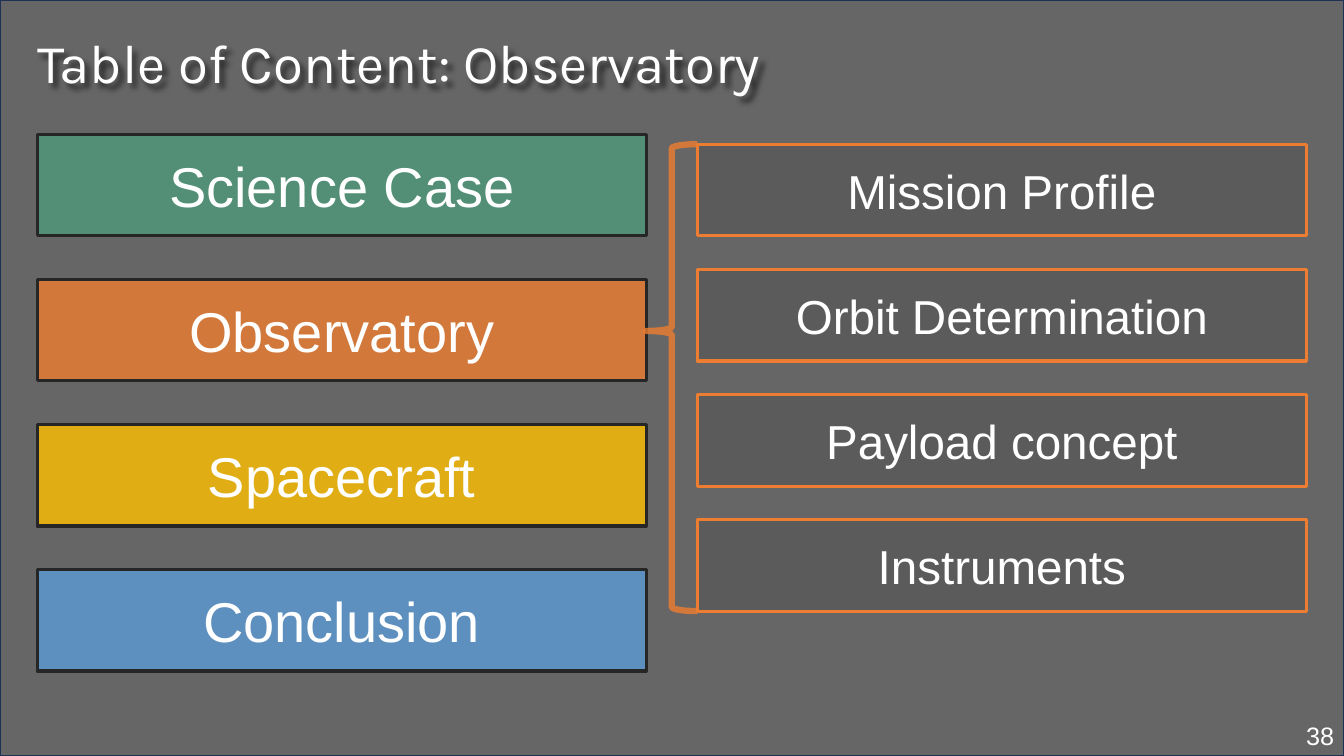
from lxml import etree
from pptx import Presentation
from pptx.dml.color import RGBColor
from pptx.enum.shapes import MSO_SHAPE
from pptx.enum.text import MSO_ANCHOR, MSO_AUTO_SIZE, PP_ALIGN
from pptx.oxml import parse_xml
from pptx.oxml.ns import nsdecls, qn
from pptx.util import Pt

WHITE = RGBColor(0xFF, 0xFF, 0xFF)
BLACK = RGBColor(0x00, 0x00, 0x00)
NAVY = RGBColor(0x1E, 0x32, 0x56)
CHARCOAL = RGBColor(0x26, 0x26, 0x26)
GREY = RGBColor(0x59, 0x59, 0x59)
GREEN = RGBColor(0x4F, 0x9A, 0x7A)
ORANGE = RGBColor(0xED, 0x7D, 0x31)
YELLOW = RGBColor(0xFF, 0xC0, 0x00)
BLUE = RGBColor(0x5B, 0x9B, 0xD5)


def add_panel(kind, left, top, width, height, fill, opacity, line, weight):
    """Add a shape; the opacity applies to its fill, or to its line if unfilled."""
    panel = page.shapes.add_shape(kind, Pt(left), Pt(top), Pt(width), Pt(height))
    panel.shadow.inherit = False
    panel.line.color.rgb = line
    panel.line.width = Pt(weight)
    if fill is None:
        panel.fill.background()
        color = panel.line._get_or_add_ln().find(".//" + qn("a:srgbClr"))
    else:
        panel.fill.solid()
        panel.fill.fore_color.rgb = fill
        color = panel._element.spPr.find(qn("a:solidFill")).find(qn("a:srgbClr"))
    etree.SubElement(color, qn("a:alpha")).set("val", str(opacity * 1000))
    return panel


def write(box, text, size, align, anchor, name="Arial"):
    """Put one white paragraph into a shape."""
    frame = box.text_frame
    frame.word_wrap = True
    frame.vertical_anchor = anchor
    para = frame.paragraphs[0]
    para.text = text
    para.alignment = align
    para.font.size = Pt(size)
    para.font.name = name
    para.font.color.rgb = WHITE
    return para


deck = Presentation()
deck.slide_width, deck.slide_height = Pt(960), Pt(540)
page = deck.slides.add_slide(deck.slide_layouts[5])

# Dark backdrop, placed behind the title
backdrop = add_panel(MSO_SHAPE.RECTANGLE, 0, 0, 960, 540, BLACK, 60, NAVY, 1)
page.shapes._spTree.insert(2, backdrop._element)

# Title with a soft shadow
title = page.shapes.title
title.left, title.top, title.width, title.height = Pt(19.4), Pt(19.4), Pt(828), Pt(52.6)
heading = write(title, "Table of Content: Observatory", 39, PP_ALIGN.LEFT,
                MSO_ANCHOR.BOTTOM, "Karla")
heading.line_spacing = 0.9
title.text_frame.auto_size = MSO_AUTO_SIZE.NONE
title._element.spPr.append(parse_xml(
    f'<a:effectLst {nsdecls("a")}>'
    '<a:outerShdw blurRad="50800" dist="50800" dir="2700000">'
    '<a:srgbClr val="000000"><a:alpha val="60000"/></a:srgbClr>'
    '</a:outerShdw></a:effectLst>'))

# Chapters on the left
chapters = [("Science Case", GREEN), ("Observatory", ORANGE),
            ("Spacecraft", YELLOW), ("Conclusion", BLUE)]
for row, (text, color) in enumerate(chapters):
    box = add_panel(MSO_SHAPE.RECTANGLE, 26.6, 95.8 + row * 103.6, 435, 72.7,
                    color, 80, CHARCOAL, 2.25)
    write(box, text, 40, PP_ALIGN.CENTER, MSO_ANCHOR.MIDDLE)

# Sections of the current chapter on the right
sections = ["Mission Profile", "Orbit Determination", "Payload concept", "Instruments"]
for row, text in enumerate(sections):
    box = add_panel(MSO_SHAPE.RECTANGLE, 498.2, 103, 435, 65.5, GREY, 80, ORANGE, 2.25)
    box.top = Pt(103 + row * 89.4)
    write(box, text, 34, PP_ALIGN.CENTER, MSO_ANCHOR.MIDDLE)

# Brace from the chapter to its sections
brace = add_panel(MSO_SHAPE.LEFT_BRACE, 461.5, 103, 36.7, 333.5, None, 80, ORANGE, 4.5)
brace.adjustments[0] = 0.08
brace.adjustments[1] = 0.4

# Page number
number = page.shapes.add_textbox(Pt(744), Pt(511.2), Pt(216), Pt(28.8))
write(number, "38", 18, PP_ALIGN.RIGHT, MSO_ANCHOR.TOP)

deck.save("out.pptx")
